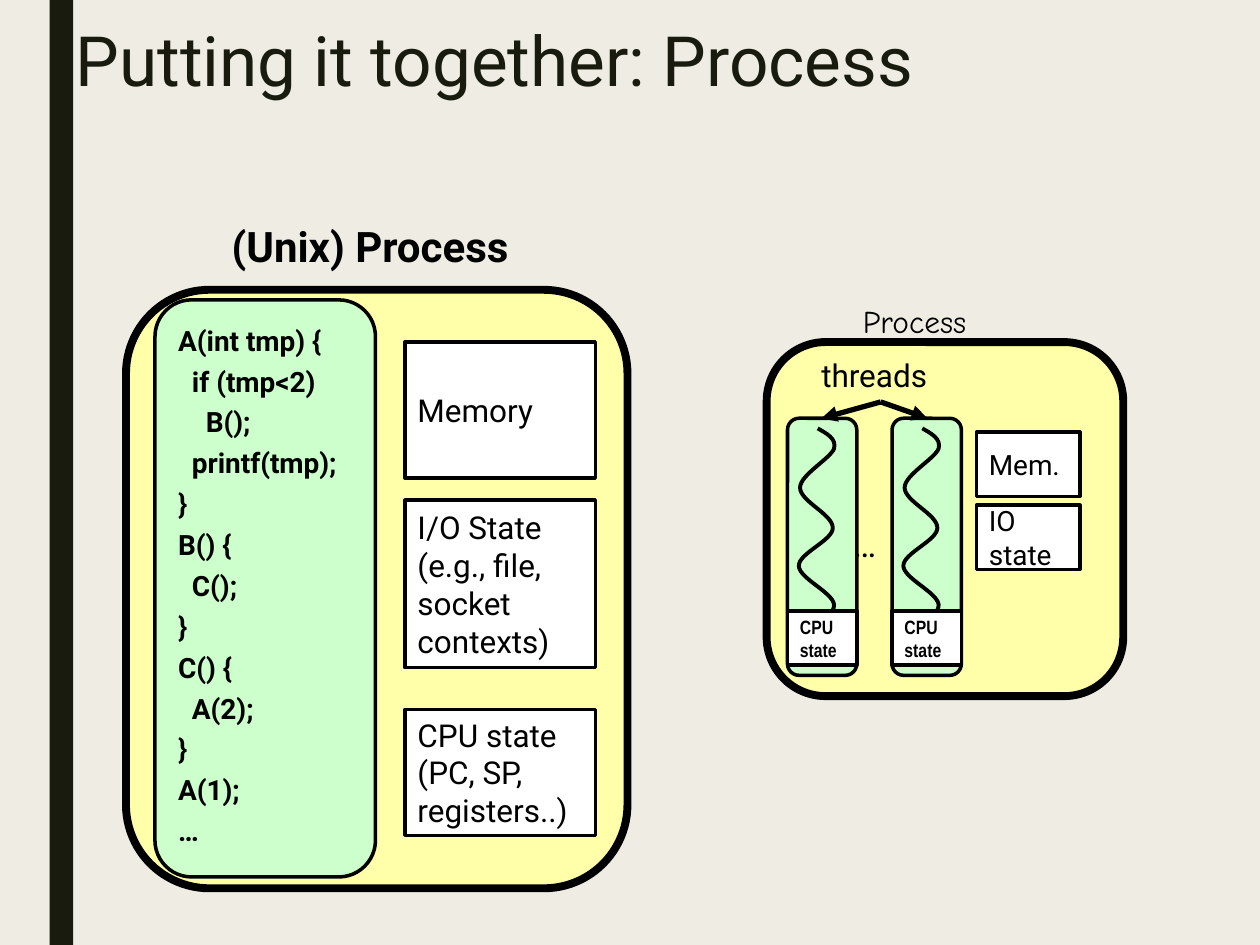
"""Build the slide that compares a Unix process with a threaded process."""
from typing import NamedTuple

import lxml.etree
import pptx
import pptx.dml.color
import pptx.enum.shapes
import pptx.enum.text
import pptx.oxml.ns
import pptx.util

RGB = pptx.dml.color.RGBColor
PAPER = RGB(0xEF, 0xED, 0xE3)
INK = RGB(0x19, 0x1B, 0x0E)
BLACK = RGB(0, 0, 0)
WHITE = RGB(0xFF, 0xFF, 0xFF)
YELLOW = RGB(0xFF, 0xFF, 0xAA)
GREEN = RGB(0xCC, 0xFF, 0xCC)

RECT = pptx.enum.shapes.MSO_SHAPE.RECTANGLE
ROUND = pptx.enum.shapes.MSO_SHAPE.ROUNDED_RECTANGLE
MIDDLE = pptx.enum.text.MSO_ANCHOR.MIDDLE
TOP = pptx.enum.text.MSO_ANCHOR.TOP
qn = pptx.oxml.ns.qn

WIDTH, HEIGHT = pptx.util.Inches(10), pptx.util.Inches(7.5)
COLS, ROWS = 100, 75
CODE_INDENT = 1.1
THREAD_LEFTS = (62.5, 70.8)
THREAD_TOP, THREAD_WIDTH = 33.2, 5.5
WAVE_START = (2.4, 0.8)
WAVE = [
    (3.1, 1.2), (3.9, 1.6), (3.7, 2.4),
    (3.4, 3.2), (1, 4.5), (1, 5.5),
    (1, 6.6), (3.6, 7.6), (3.6, 8.7),
    (3.6, 9.7), (0.9, 10.7), (0.9, 11.7),
    (0.9, 12.7), (3.6, 13.8), (3.7, 14.8),
    (3.7, 15.9), (1.3, 17.2), (1.1, 18),
    (0.8, 18.8), (2.3, 19.6), (2.3, 19.6),
]
CODE = [
    (0, "A(int tmp) {"), (1, "if (tmp<2)"), (2, "B();"), (1, "printf(tmp);"), (0, "}"),
    (0, "B() {"), (1, "C();"), (0, "}"),
    (0, "C() {"), (1, "A(2);"), (0, "}"),
    (0, "A(1);"), (0, "…"),
]


class Box(NamedTuple):
    """A rectangle in grid columns and rows."""
    left: float
    top: float
    width: float
    height: float


class Part(NamedTuple):
    """A labelled white box of a process."""
    box: Box
    text: str
    size: float


class Label(NamedTuple):
    """A free-standing caption."""
    box: Box
    text: str
    size: float
    font: str = "Roboto"
    bold: bool = False
    wrap: bool = True


PARTS = [
    Part(Box(32.15, 27.15, 15.1, 10.8), "Memory", 18),
    Part(Box(32.15, 39.7, 15.1, 13.3), "I/O State\n(e.g., file, socket contexts)", 18),
    Part(Box(32.15, 56.3, 15.1, 10), "CPU state (PC, SP, registers..)", 18),
    Part(Box(77.5, 40.1, 8.2, 5.1), "IO\nstate", 16),
    Part(Box(77.5, 34.3, 8.2, 5.1), "Mem.", 16),
]
LABELS = [
    Label(Box(17.4, 17, 25.6, 5.1), "(Unix) Process", 24, bold=True, wrap=False),
    Label(Box(66.7, 41, 5.3, 4.5), "…", 20),
    Label(Box(64.2, 27.8, 11.4, 4.1), "threads", 18),
    Label(Box(67.5, 23.5, 11.6, 4.1), "Process", 18, font="Comic Neue"),
]


def col(n: float) -> int:
    """Return the length of n grid columns."""
    return round(WIDTH * n / COLS)


def row(n: float) -> int:
    """Return the length of n grid rows."""
    return round(HEIGHT * n / ROWS)


def place(box: Box) -> tuple:
    """Turn a grid box into slide lengths."""
    return col(box.left), row(box.top), col(box.width), row(box.height)


def write(sp, text: str, *, size: float, font: str = "Roboto", color=BLACK, bold: bool = False,
          anchor=MIDDLE, wrap: bool = True, spacing: float = 1.0, before: float = 0,
          levels: tuple = ()) -> None:
    """Fill a shape with left-aligned formatted paragraphs."""
    tf = sp.text_frame
    tf.word_wrap, tf.vertical_anchor = wrap, anchor
    for i, line in enumerate(text.split("\n")):
        p = tf.paragraphs[0] if i == 0 else tf.add_paragraph()
        p.alignment = pptx.enum.text.PP_ALIGN.LEFT
        p.line_spacing, p.space_before = spacing, pptx.util.Pt(before)
        if levels:
            p._p.get_or_add_pPr().set("marL", str(col(CODE_INDENT * levels[i])))
        r = p.add_run()
        r.text = line
        r.font.size, r.font.name, r.font.bold = pptx.util.Pt(size), font, bold
        r.font.color.rgb = color


def add_block(s, kind, box: Box, fill, weight: float = 2):
    """Add a filled preset shape, outlined unless the weight is zero."""
    sp = s.shapes.add_shape(kind, *place(box))
    sp.shadow.inherit = False
    sp.fill.solid()
    sp.fill.fore_color.rgb = fill
    if weight:
        sp.line.color.rgb = BLACK
        sp.line.width = pptx.util.Pt(weight)
    else:
        sp.line.fill.background()
    return sp


def add_part(s, part: Part, **style) -> None:
    """Add a white box with its text."""
    write(add_block(s, RECT, part.box, WHITE), part.text, size=part.size, **style)


def add_label(s, label: Label) -> None:
    """Add a caption as a text box."""
    sp = s.shapes.add_textbox(*place(label.box))
    write(sp, label.text, size=label.size, font=label.font, bold=label.bold,
          anchor=TOP, wrap=label.wrap)
    sp.text_frame.auto_size = pptx.enum.text.MSO_AUTO_SIZE.SHAPE_TO_FIT_TEXT


def curve(sp) -> None:
    """Turn each three straight segments of a freeform into one cubic curve."""
    outline = next(sp._element.iter(qn("a:path")))
    segments = outline.findall(qn("a:lnTo"))
    for i in range(0, len(segments), 3):
        cubic = lxml.etree.SubElement(outline, qn("a:cubicBezTo"))
        for segment in segments[i:i + 3]:
            cubic.append(segment[0])
            outline.remove(segment)


def add_thread(s, left: float) -> None:
    """Add a thread capsule with its wavy line."""
    add_block(s, ROUND, Box(left, THREAD_TOP, THREAD_WIDTH, 20.4), GREEN)
    start, *rest = [(col(left + x), row(THREAD_TOP + y)) for x, y in [WAVE_START, *WAVE]]
    builder = s.shapes.build_freeform(*start)
    builder.add_line_segments(rest, close=False)
    sp = builder.convert_to_shape()
    curve(sp)
    sp.shadow.inherit = False
    sp.fill.background()
    sp.line.color.rgb = BLACK
    sp.line.width = pptx.util.Pt(2.25)


def add_arrow(s, start: tuple, end: tuple) -> None:
    """Add a straight arrow between two grid points."""
    cx = s.shapes.add_connector(pptx.enum.shapes.MSO_CONNECTOR.STRAIGHT,
                                col(start[0]), row(start[1]), col(end[0]), row(end[1]))
    cx.line.color.rgb = BLACK
    cx.line.width = pptx.util.Pt(3)
    sp_pr = cx._element.spPr
    lxml.etree.SubElement(sp_pr.find(qn("a:ln")), qn("a:tailEnd"), type="triangle")
    lxml.etree.SubElement(sp_pr, qn("a:effectLst"))


def main() -> None:
    """Draw the slide and save it."""
    prs = pptx.Presentation()
    prs.slide_width, prs.slide_height = WIDTH, HEIGHT
    s = prs.slides.add_slide(prs.slide_layouts[5])
    s.background.fill.solid()
    s.background.fill.fore_color.rgb = PAPER
    add_block(s, RECT, Box(3.93, 0, 1.87, ROWS), INK, 0)
    title = s.shapes.title
    title.left, title.top, title.width, title.height = place(Box(5, 1.7, 93.3, 5.8))
    write(title, "Putting it together: Process", size=39.6, color=INK, anchor=TOP, spacing=0.89)
    add_block(s, ROUND, Box(10, 23, 39.8, 47.5), YELLOW, 4.5)
    add_block(s, ROUND, Box(60.85, 27.15, 28.3, 28.1), YELLOW, 4.5)
    levels, lines = zip(*CODE)
    code = add_block(s, ROUND, Box(12.3, 23.8, 17.5, 45.8), GREEN)
    write(code, "\n".join(lines), size=16, bold=True, spacing=0.8, before=8, levels=levels)
    for part in PARTS:
        add_part(s, part)
    for left in THREAD_LEFTS:
        add_thread(s, left)
    for label in LABELS:
        add_label(s, label)
    for tip in (65.2, 73.6):
        add_arrow(s, (69.9, 31.9), (tip, THREAD_TOP))
    for left in THREAD_LEFTS:
        add_part(s, Part(Box(left, 48.5, THREAD_WIDTH, 4.3), "CPU\nstate", 11),
                 font="Arial Narrow", bold=True)
    prs.save("out.pptx")


if __name__ == "__main__":
    main()
